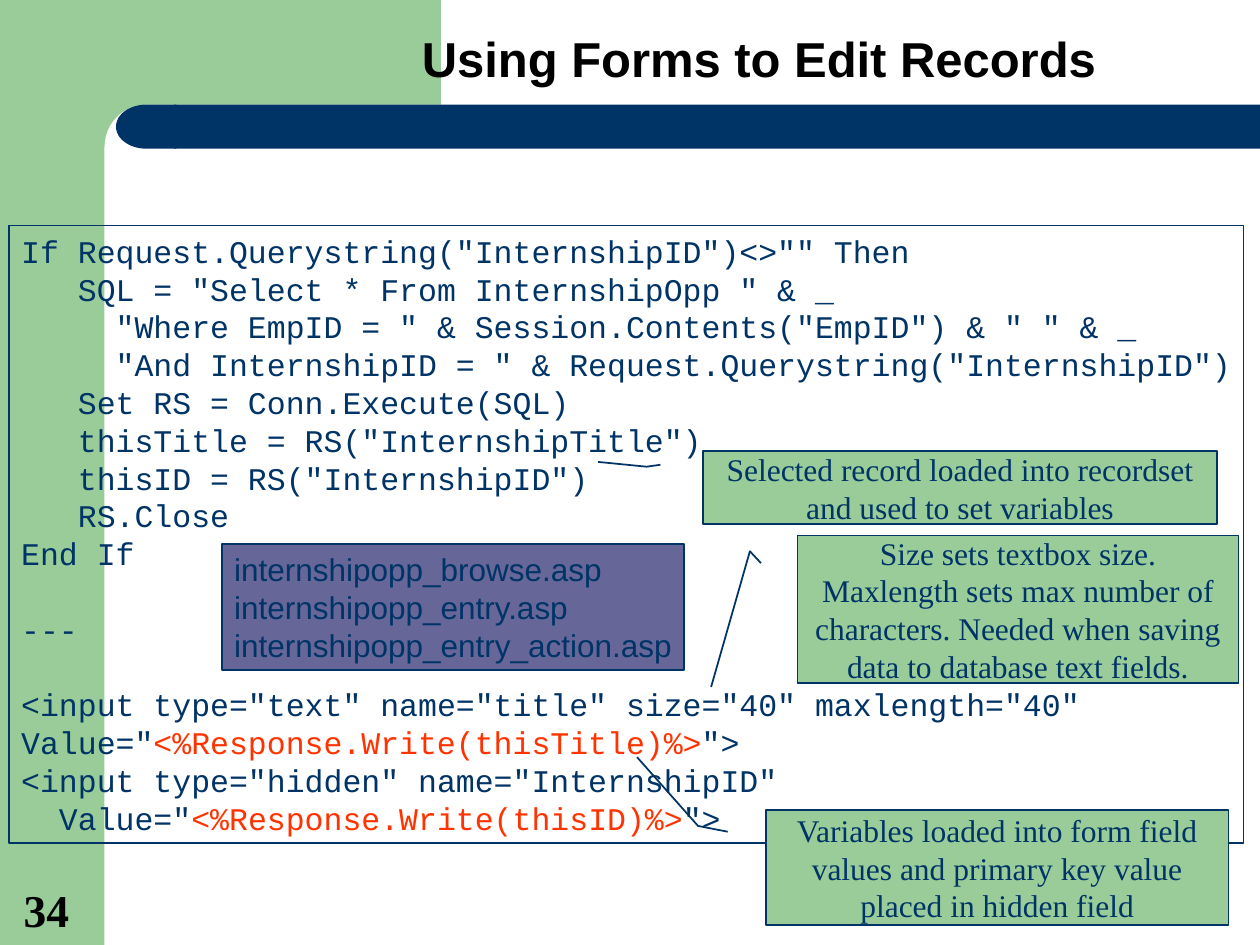
from pptx import Presentation
from pptx.dml.color import RGBColor
from pptx.enum.shapes import MSO_SHAPE as Shape
from pptx.enum.text import MSO_ANCHOR as Anchor, PP_ALIGN as Align
from pptx.util import Inches, Pt

GREEN, NAVY, PURPLE = "99CC99", "003366", "666699"
RED, WHITE, BLACK = "FF3300", "FFFFFF", "000000"
LINE_GAP = 21.6

CODE_BLOCKS = [
    [
        'If Request.Querystring("InternshipID")<>"" Then',
        '   SQL = "Select * From InternshipOpp " & _',
        '     "Where EmpID = " & Session.Contents("EmpID") & " " & _',
        '     "And InternshipID = " & Request.Querystring("InternshipID")',
        '   Set RS = Conn.Execute(SQL)',
        '   thisTitle = RS("InternshipTitle")',
        '   thisID = RS("InternshipID")',
        '   RS.Close',
        'End If',
    ],
    ['---'],
    [
        '<input type="text" name="title" size="40" maxlength="40"',
        ['Value="', ("<%Response.Write(thisTitle)%>", RED), '">'],
        '<input type="hidden" name="InternshipID"',
        ['  Value="', ("<%Response.Write(thisID)%>", RED), '">'],
    ],
]

FILES = [
    "internshipopp_browse.asp",
    "internshipopp_entry.asp",
    "internshipopp_entry_action.asp",
]

CALLOUTS = [
    ("Selected record loaded into recordset and used to set variables",
     (5.58, 3.58, 4.08, 0.58), (0.214, -0.11, 0.149, -0.204)),
    ("Variables loaded into form field values and primary key value "
     "placed in hidden field",
     (6.08, 6.43, 3.67, 0.91), (0.138, -0.147, -0.463, -0.279)),
    ("Size sets textbox size. Maxlength sets max number of characters. "
     "Needed when saving data to database text fields.",
     (6.33, 4.25, 3.5, 1.17), (0.107, -0.108, 1.028, -0.196)),
]


def rgb(color):
    return RGBColor.from_string(color)


def add_box(slide, kind, box, fill=None, line=None, adjust=()):
    sp = slide.shapes.add_shape(kind, *map(Inches, box))
    sp.shadow.inherit = False
    if fill:
        sp.fill.solid()
        sp.fill.fore_color.rgb = rgb(fill)
    else:
        sp.fill.background()
    if line:
        sp.line.color.rgb = rgb(line)
        sp.line.width = Pt(1)
    else:
        sp.line.fill.background()
    for i, value in enumerate(adjust):
        sp.adjustments[i] = value
    return sp


def write(sp, blocks, font="Arial", size=18, color=NAVY, bold=False,
          align=Align.LEFT, anchor=Anchor.TOP, wrap=True, spacing=None):
    tf = sp.text_frame
    tf.word_wrap = wrap
    tf.vertical_anchor = anchor
    p = None
    for block in blocks:
        for i, line in enumerate(block):
            if p is None:
                p = tf.paragraphs[0]
            else:
                p = tf.add_paragraph()
                if i == 0:
                    p.space_before = Pt(LINE_GAP)
            p.alignment = align
            if spacing:
                p.line_spacing = spacing
            for part in [line] if isinstance(line, str) else line:
                text, tint = (part, color) if isinstance(part, str) else part
                r = p.add_run()
                r.text = text
                r.font.name = font
                r.font.size = Pt(size)
                r.font.bold = bold
                r.font.color.rgb = rgb(tint)


def add_text(slide, box, text, **style):
    sp = slide.shapes.add_textbox(*map(Inches, box))
    write(sp, [[text]], anchor=Anchor.BOTTOM, bold=True, color=BLACK, **style)


def add_callout(slide, text, box, elbow_and_tip):
    sp = add_box(slide, Shape.LINE_CALLOUT_2, box, GREEN, NAVY,
                 (0.188, -0.083, *elbow_and_tip))
    write(sp, [[text]], font="Times New Roman", align=Align.CENTER,
          anchor=Anchor.MIDDLE)


def add_backdrop(slide):
    add_box(slide, Shape.RECTANGLE, (0, 0, 0.83, 7.5), GREEN)
    add_box(slide, Shape.RECTANGLE, (0.75, 0, 2.75, 1.17), GREEN)
    add_box(slide, Shape.ROUNDED_RECTANGLE, (0.83, 0.83, 5.58, 0.67), WHITE,
            adjust=(0.5,))
    add_box(slide, Shape.RECTANGLE, (1.38, 0.83, 8.62, 0.35), NAVY)
    cap = add_box(slide, Shape.FLOWCHART_DELAY, (0.92, 0.83, 0.48, 0.35), NAVY)
    cap.rotation = 180


def main():
    prs = Presentation()
    prs.slide_width, prs.slide_height = Inches(10), Inches(7.5)
    slide = prs.slides.add_slide(prs.slide_layouts[6])

    add_backdrop(slide)
    add_text(slide, (3.25, 0.25, 6.33, 0.5), "Using Forms to Edit Records",
             size=28, spacing=0.9)

    code = add_box(slide, Shape.RECTANGLE, (0.07, 1.79, 9.8, 4.9), line=NAVY)
    write(code, CODE_BLOCKS, font="Courier New", wrap=False)

    for callout in CALLOUTS[:2]:
        add_callout(slide, *callout)
    files = add_box(slide, Shape.RECTANGLE, (1.76, 4.32, 3.67, 1), PURPLE, NAVY)
    write(files, [FILES], wrap=False)
    add_callout(slide, *CALLOUTS[2])

    add_text(slide, (0.09, 6.94, 0.64, 0.54), "34", font="Times New Roman",
             size=26)
    prs.save("out.pptx")


if __name__ == "__main__":
    main()
